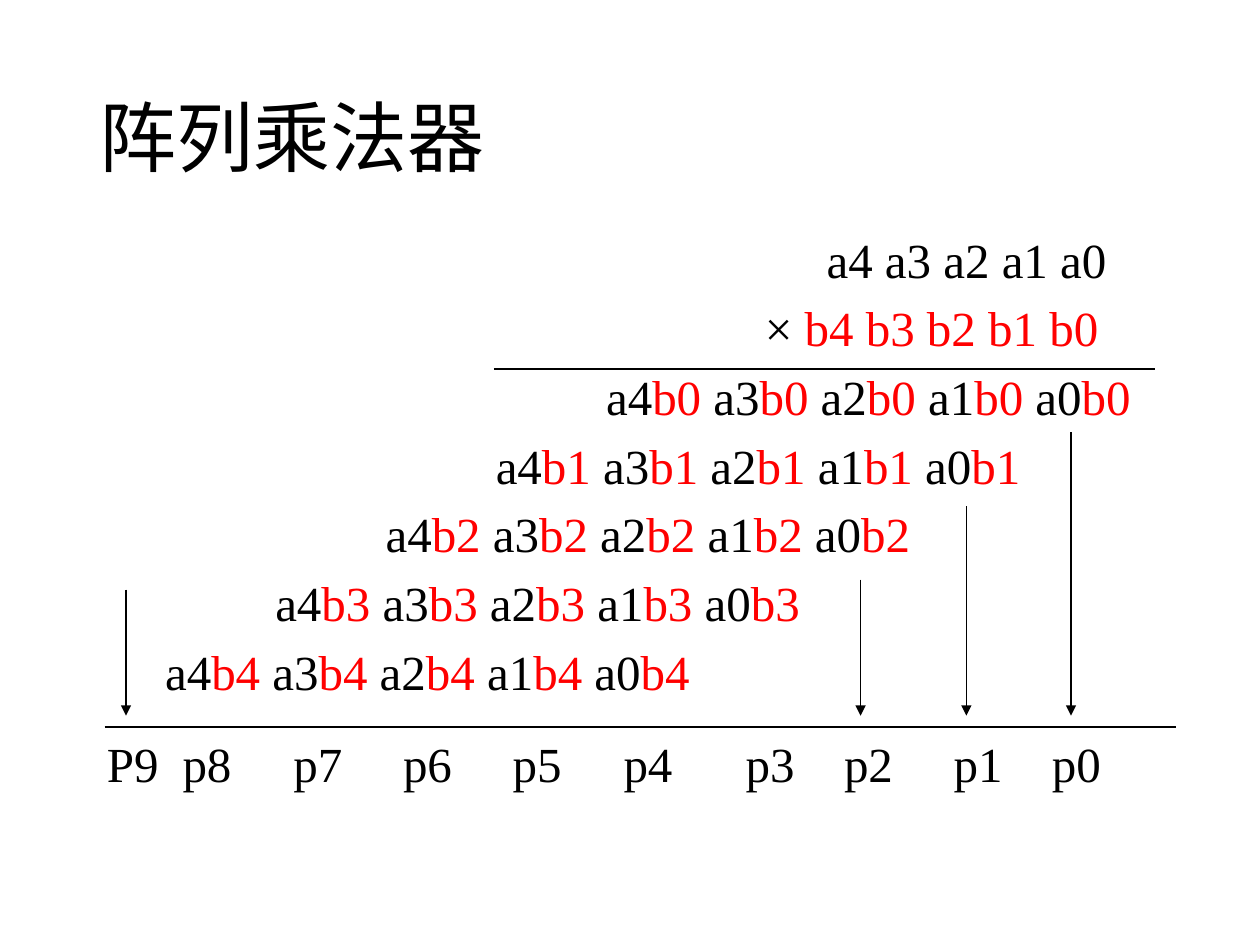
from pptx import Presentation
from pptx.dml.color import RGBColor
from pptx.enum.shapes import MSO_CONNECTOR
from pptx.enum.text import MSO_ANCHOR, MSO_AUTO_SIZE, PP_ALIGN
from pptx.oxml.ns import qn
from pptx.util import Inches, Pt
from lxml.etree import SubElement

# Content
COLORS = {"a": "000000", "b": "FF0000", "line": "000000"}
FONT, SIZE = "Times New Roman", 28
TITLE = "阵列乘法器"
DIGITS = range(4, -1, -1)
FIRST_INDENT, SHIFT = 3.79, 0.875  # partial products move left by SHIFT

# Each row: left indent in inches, then (text, colour key) runs
rows = [
    (5.54, [(" ".join(f"a{i}" for i in DIGITS), "a")]),
    (5.05, [("× ", "a"), (" ".join(f"b{i}" for i in DIGITS), "b")]),
]
for j in range(5):
    products = []
    for i in DIGITS:
        products += [(f"a{i}" if i == 4 else f" a{i}", "a"), (f"b{j}", "b")]
    rows.append((FIRST_INDENT - j * SHIFT, products))

RESULTS = ["P9"] + [f"p{i}" for i in range(8, -1, -1)]
TABS = [0.6, 1.48, 2.35, 3.22, 4.1, 5.07, 5.85, 6.72, 7.5]
RULES = [(3.92, 9.17, 2.93), (0.83, 9.33, 5.77)]  # left, right, y
ARROWS = [(8.5, 3.43), (7.67, 4.02), (6.83, 4.6), (1, 4.68)]  # x, top
ARROW_END = 5.68

prs = Presentation()
prs.slide_width, prs.slide_height = Inches(10), Inches(7.5)
s = prs.slides.add_slide(prs.slide_layouts[1])


def place(sp, left, top, width, height):
    sp.left, sp.top = Inches(left), Inches(top)
    sp.width, sp.height = Inches(width), Inches(height)


def add_run(p, text, color, font=FONT, size=SIZE):
    r = p.add_run()
    r.text = text
    r.font.name, r.font.size = font, Pt(size)
    r.font.color.rgb = RGBColor.from_string(COLORS[color])


def add_line(x1, y1, x2, y2, arrow=False):
    sp = s.shapes.add_connector(
        MSO_CONNECTOR.STRAIGHT, Inches(x1), Inches(y1), Inches(x2), Inches(y2))
    sp.line.color.rgb = RGBColor.from_string(COLORS["line"])
    sp.line.width = Pt(1)
    if arrow:
        SubElement(sp.line._get_or_add_ln(), qn("a:tailEnd"), type="triangle")
    SubElement(sp._element.spPr, qn("a:effectLst"))


# Title
title = s.shapes.title
place(title, 0.69, 0.4, 8.62, 1.45)
tf = title.text_frame
tf.vertical_anchor = MSO_ANCHOR.MIDDLE
p = tf.paragraphs[0]
p.alignment, p.line_spacing = PP_ALIGN.LEFT, 0.9
add_run(p, TITLE, "a", "Calibri", 44)

# Factors and partial products
body = s.placeholders[1]
place(body, 0.92, 1.77, 8.25, 4.25)
tf = body.text_frame
tf.auto_size = MSO_AUTO_SIZE.NONE
for n, (indent, runs) in enumerate(rows):
    p = tf.add_paragraph() if n else tf.paragraphs[0]
    pPr = p._p.get_or_add_pPr()
    pPr.set("marL", str(Inches(indent)))
    pPr.set("indent", "0")
    SubElement(pPr, qn("a:buNone"))
    for text, color in runs:
        add_run(p, text, color)

# Result digits on tab stops
result = s.shapes.add_textbox(0, 0, 0, 0)
place(result, 0.75, 5.77, 8.92, 0.57)
tf = result.text_frame
tf.word_wrap = True
p = tf.paragraphs[0]
tab_list = SubElement(p._p.get_or_add_pPr(), qn("a:tabLst"))
for pos in TABS:
    SubElement(tab_list, qn("a:tab"), pos=str(Inches(pos)), algn="l")
add_run(p, "\t".join(RESULTS), "a")

# Rules and carry-down arrows
for left, right, y in RULES:
    add_line(left, y, right, y)
for x, top in ARROWS:
    add_line(x, top, x, ARROW_END, arrow=True)

prs.save("out.pptx")
